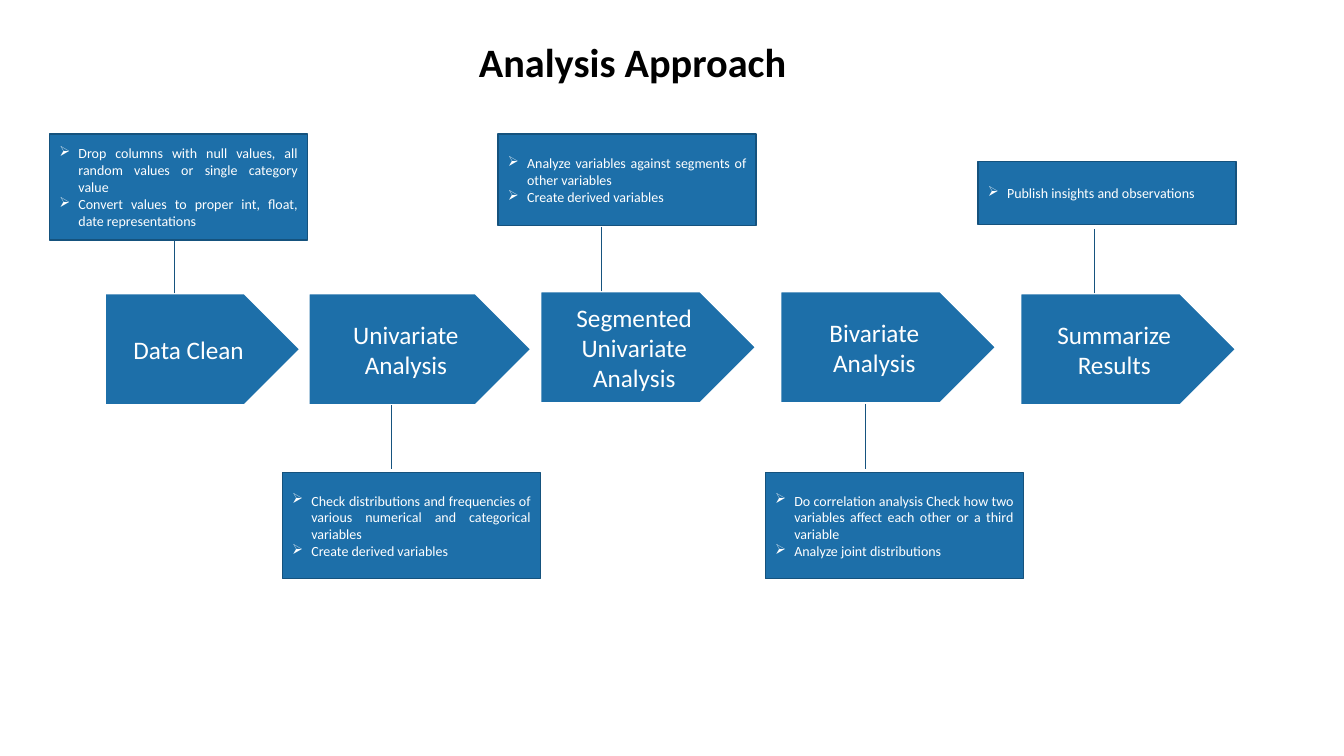
from lxml import etree
from pptx import Presentation
from pptx import util as u
from pptx.dml.color import RGBColor
from pptx.enum import shapes, text
from pptx.oxml.ns import qn

BLUE = RGBColor(0x1D, 0x6F, 0xA9)
BOX_EDGE = RGBColor(0x15, 0x52, 0x7D)
LINK = RGBColor(0x16, 0x53, 0x7F)
WHITE = RGBColor(0xFF, 0xFF, 0xFF)
BLACK = RGBColor(0, 0, 0)

BOX_W = 2.56
STEP_H = 1.11

STEPS = [
    (1.04, 2.91, 1.94, ["Data Clean"]),
    (3.06, 2.91, 2.21, ["Univariate", "Analysis"]),
    (5.36, 2.89, 2.14, ["Segmented", "Univariate", "Analysis"]),
    (7.74, 2.89, 2.14, ["Bivariate", "Analysis"]),
    (10.12, 2.91, 2.14, ["Summarize", "Results"]),
]
NOTES = [
    (0.49, 1.33, 1.05, [
        "Drop columns with null values, all random values or single category value",
        "Convert values to proper int, float, date representations"]),
    (2.8, 4.69, 1.05, [
        "Check distributions and frequencies of various numerical and categorical variables",
        "Create derived variables"]),
    (4.94, 1.33, 0.91, [
        "Analyze variables against segments of other variables",
        "Create derived variables"]),
    (7.59, 4.69, 1.05, [
        "Do correlation analysis Check how two variables affect each other or a third variable",
        "Analyze joint distributions"]),
    (9.7, 1.6, 0.63, ["Publish insights and observations"]),
]
LINKS = [(1.73, 2.91, 2.38), (3.88, 4.65, 4.02), (5.96, 2.89, 2.25),
         (8.58, 4.65, 4.01), (10.85, 2.91, 2.27)]


def add_block(s, kind, box, edge, edge_pt):
    sp = s.shapes.add_shape(kind, *[u.Inches(v) for v in box])
    sp.shadow.inherit = False
    sp.fill.solid()
    sp.fill.fore_color.rgb = BLUE
    sp.line.color.rgb = edge
    sp.line.width = u.Pt(edge_pt)
    return sp


def write(tf, lines, size, color, align):
    tf.word_wrap = True
    tf.vertical_anchor = text.MSO_ANCHOR.MIDDLE
    tf.text = "\n".join(lines)
    for p in tf.paragraphs:
        p.alignment = align
        for r in p.runs:
            r.font.name = "Calibri"
            r.font.size = u.Pt(size)
            r.font.color.rgb = color


prs = Presentation()
prs.slide_width, prs.slide_height = u.Inches(13.33), u.Inches(7.5)
s = prs.slides.add_slide(prs.slide_layouts[5])

title = s.shapes.title
title.left, title.top = u.Inches(1.18), u.Inches(0.48)
title.width, title.height = u.Inches(10.19), u.Inches(0.32)
write(title.text_frame, ["Analysis Approach"], 28.8, BLACK, text.PP_ALIGN.CENTER)
title.text_frame.auto_size = text.MSO_AUTO_SIZE.NONE
p = title.text_frame.paragraphs[0]
p.line_spacing = 0.9
p.runs[0].font.bold = True

for left, top, width, lines in STEPS:
    sp = add_block(s, shapes.MSO_SHAPE.PENTAGON, (left, top, width, STEP_H), WHITE, 1.5)
    write(sp.text_frame, lines, 18, WHITE, text.PP_ALIGN.CENTER)

for left, top, height, lines in NOTES:
    sp = add_block(s, shapes.MSO_SHAPE.RECTANGLE, (left, top, BOX_W, height), BOX_EDGE, 1)
    write(sp.text_frame, lines, 10, WHITE, text.PP_ALIGN.JUSTIFY)
    for p in sp.text_frame.paragraphs:
        pPr = p._p.get_or_add_pPr()
        pPr.set("marL", str(u.Inches(0.19)))
        pPr.set("indent", str(u.Inches(-0.19)))
        etree.SubElement(pPr, qn("a:buChar")).set("char", "➢")

for x, start, end in LINKS:
    link = s.shapes.add_connector(shapes.MSO_CONNECTOR.STRAIGHT, u.Inches(x),
                                  u.Inches(start), u.Inches(x), u.Inches(end))
    link.line.color.rgb = LINK
    link.line.width = u.Pt(0.5)
    etree.SubElement(link._element.spPr, qn("a:effectLst"))

prs.save("out.pptx")
